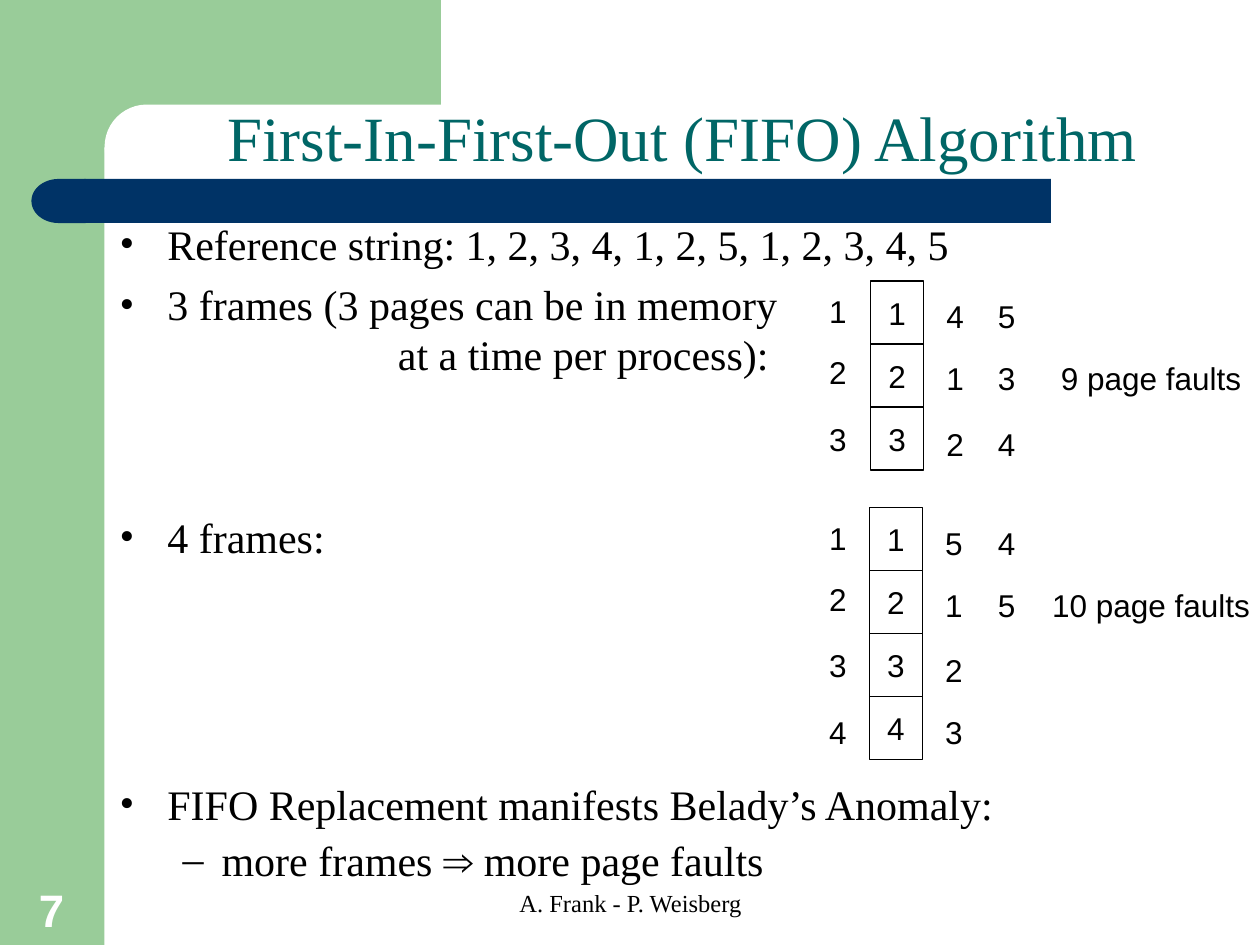
from lxml import etree
from pptx import Presentation
from pptx import util as u
from pptx.dml.color import RGBColor
from pptx.enum import shapes, text
from pptx.oxml.ns import qn

SERIF, SANS = "Times New Roman", "Arial"
GREEN, NAVY, TEAL = "99CC99", "003366", "006666"
BLACK, WHITE = "000000", "FFFFFF"
FRAME_W, FRAME_H = 0.42, 0.5
LABEL_W, LABEL_H = 0.34, 0.4
# Vertical offsets of the labels from the top of a stack of frames
LEFT_OFFSETS = (0.04, 0.52, 1.05, 1.58)
RIGHT_OFFSETS = (0.08, 0.57, 1.09, 1.58)


def colour(value):
    return RGBColor.from_string(value)


def box(at):
    return [u.Inches(length) for length in at]


def write(paragraph, words, font=SANS, size=18, ink=BLACK, bold=False,
          align=text.PP_ALIGN.CENTER):
    paragraph.alignment = align
    run = paragraph.add_run()
    run.text = words
    run.font.name = font
    run.font.size = u.Pt(size)
    run.font.bold = bold
    run.font.color.rgb = colour(ink)


def add_block(slide, kind, at, fill, line=None):
    block = slide.shapes.add_shape(kind, *box(at))
    block.shadow.inherit = False
    block.fill.solid()
    block.fill.fore_color.rgb = colour(fill)
    if line:
        block.line.color.rgb = colour(line)
        block.line.width = u.Pt(0.75)
    else:
        block.line.fill.background()
    return block


def add_label(slide, words, at, anchor=text.MSO_ANCHOR.MIDDLE, wrap=False,
              **style):
    frame = slide.shapes.add_textbox(*box(at)).text_frame
    frame.word_wrap = wrap
    frame.vertical_anchor = anchor
    write(frame.paragraphs[0], words, **style)


def add_bullet(paragraph, mark):
    props = paragraph._p.get_or_add_pPr()
    tint = etree.SubElement(props, qn("a:buClr"))
    etree.SubElement(tint, qn("a:srgbClr")).set("val", BLACK)
    etree.SubElement(props, qn("a:buFont")).set("typeface", SERIF)
    etree.SubElement(props, qn("a:buChar")).set("char", mark)


def add_body(slide, at, points):
    frame = slide.shapes.add_textbox(*box(at)).text_frame
    frame.word_wrap = True
    for number, (mark, margin, indent, before, pitch, runs) in enumerate(points):
        point = frame.add_paragraph() if number else frame.paragraphs[0]
        props = point._p.get_or_add_pPr()
        props.set("marL", str(u.Inches(margin)))
        props.set("indent", str(u.Inches(indent)))
        if mark:
            add_bullet(point, mark)
        point.space_before = u.Pt(before)
        point.line_spacing = u.Pt(pitch)
        for words, font in runs:
            write(point, words, font=font, size=24, align=text.PP_ALIGN.LEFT)


def add_frames(slide, left, top, pages, columns, faults, faults_at):
    for row, page in enumerate(pages):
        cell = add_block(slide, shapes.MSO_SHAPE.RECTANGLE,
                         (left, top + row * FRAME_H, FRAME_W, FRAME_H),
                         WHITE, line=BLACK)
        cell.text_frame.word_wrap = False
        cell.text_frame.vertical_anchor = text.MSO_ANCHOR.MIDDLE
        write(cell.text_frame.paragraphs[0], page)
        add_label(slide, page,
                  (6.48, top + LEFT_OFFSETS[row], LABEL_W, LABEL_H))
    # Pages that later replace the first ones
    for x, replacements in zip((left + 0.5, 7.82), columns):
        for page, offset in zip(replacements, RIGHT_OFFSETS):
            add_label(slide, page, (x, top + offset, LABEL_W, LABEL_H))
    x, width = faults_at
    add_label(slide, faults, (x, top + RIGHT_OFFSETS[1], width, LABEL_H))


def add_backdrop(slide):
    kinds = shapes.MSO_SHAPE
    add_block(slide, kinds.RECTANGLE, (0, 0, 0.83, 7.5), GREEN)
    add_block(slide, kinds.RECTANGLE, (0.75, 0, 2.75, 0.83 + 0.34), GREEN)
    corner = add_block(slide, kinds.ROUNDED_RECTANGLE,
                       (0.83, 0.83, 3.42, 0.67), WHITE)
    corner.adjustments[0] = 0.5
    add_block(slide, kinds.RECTANGLE, (0.67, 1.42, 7.67, 0.35), NAVY)
    cap = add_block(slide, kinds.FLOWCHART_DELAY, (0.25, 1.42, 0.43, 0.35), NAVY)
    cap._element.spPr.find(qn("a:xfrm")).set("flipH", "1")


def main():
    deck = Presentation()
    deck.slide_width, deck.slide_height = u.Inches(10), u.Inches(7.5)
    slide = deck.slides.add_slide(deck.slide_layouts[6])

    # Backdrop, page number and footer
    add_backdrop(slide)
    add_label(slide, "7", (0.09, 6.94, 0.64, 0.54), wrap=True,
              anchor=text.MSO_ANCHOR.BOTTOM, size=26, ink=WHITE, bold=True)
    add_label(slide, "A. Frank - P. Weisberg", (3.42, 7, 3.17, 0.5), wrap=True,
              anchor=text.MSO_ANCHOR.TOP, font=SERIF, size=14)

    # Title and points
    add_label(slide, "First-In-First-Out (FIFO) Algorithm",
              (0.83, 0.76, 9.17, 0.67), wrap=True,
              anchor=text.MSO_ANCHOR.BOTTOM, font=SERIF, size=36, ink=TEAL)
    add_body(slide, (0.85, 1.69, 9.15, 5.76), [
        ("•", 0.38, -0.38, 0, 28.5,
         [("Reference string: 1, 2, 3, 4, 1, 2, 5, 1, 2, 3, 4, 5", SERIF)]),
        ("•", 0.38, -0.38, 6, 28.5,
         [("3 frames (3 pages can be in memory", SERIF)]),
        (None, 2.21, 0, 0, 28.5, [("at a time per process):", SERIF)]),
        ("•", 0.38, -0.38, 76, 28.5, [("4 frames:", SERIF)]),
        ("•", 0.38, -0.38, 126.5, 26,
         [("FIFO Replacement manifests Belady’s Anomaly:", SERIF)]),
        ("–", 0.81, -0.31, 6, 26,
         [("more frames ", SERIF), ("⇒", SANS), (" more page faults", SERIF)]),
    ])

    # Page frames
    add_frames(slide, 6.91, 2.23, "123", ("412", "534"),
               "9 page faults", (8.32, 1.63))
    add_frames(slide, 6.9, 4.03, "1234", ("5123", "45"),
               "10 page faults", (8.25, 1.77))

    deck.save("out.pptx")


if __name__ == "__main__":
    main()
